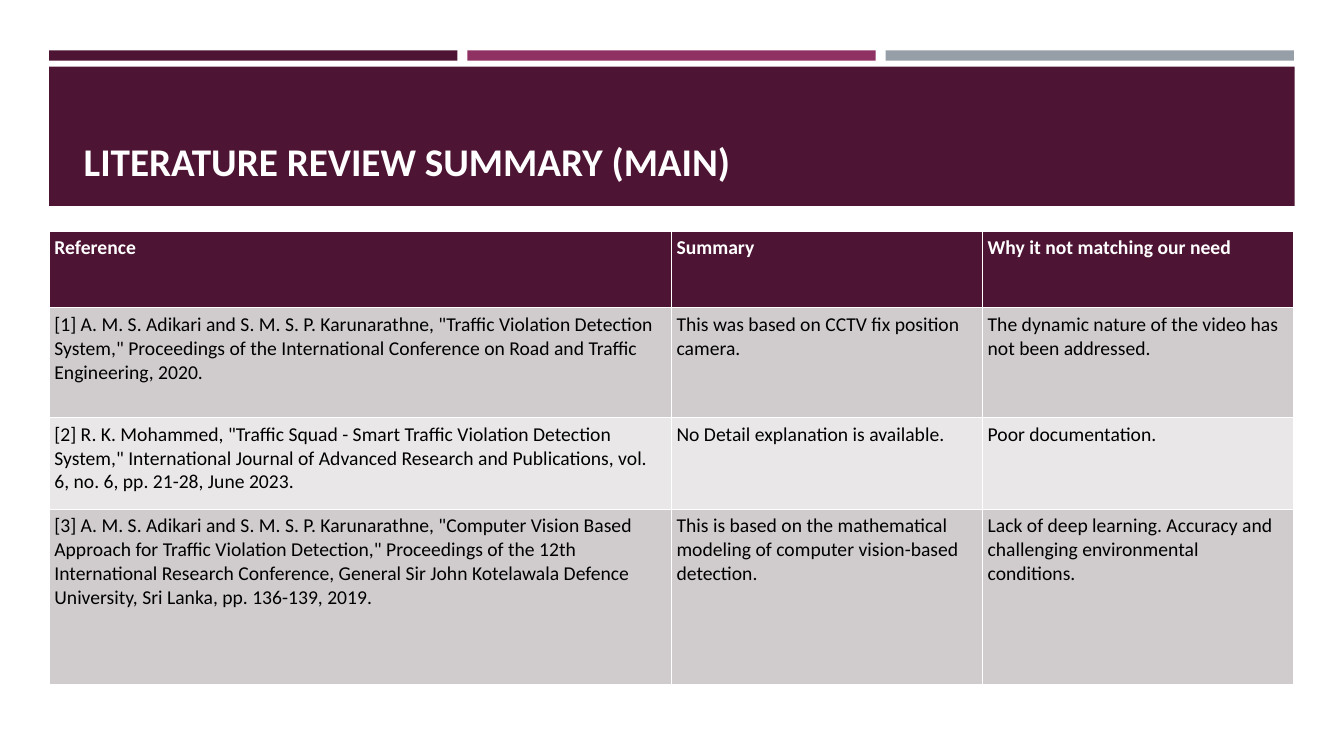
from pptx import Presentation
from pptx.dml.color import RGBColor
from pptx.enum import shapes, text
from pptx.util import Cm, Pt

FONT = "Calibri"
COLORS = {
    "plum": "4D1434",
    "berry": "903163",
    "slate": "969FA7",
    "dark": "D0CCCE",
    "light": "E9E7E8",
    "white": "FFFFFF",
    "black": "000000",
}
LEFT = 1.24
WIDTHS = [15.68, 7.84, 7.84]
HEIGHTS = [1.93, 2.77, 2.31, 4.42]
ROWS = [
    ["Reference", "Summary", "Why it not matching our need"],
    [
        '[1] A. M. S. Adikari and S. M. S. P. Karunarathne, "Traffic Violation '
        'Detection System," Proceedings of the International Conference on Road '
        "and Traffic Engineering, 2020.",
        "This was based on CCTV fix position camera.",
        "The dynamic nature of the video has not been addressed.",
    ],
    [
        '[2] R. K. Mohammed, "Traffic Squad - Smart Traffic Violation Detection '
        'System," International Journal of Advanced Research and Publications, '
        "vol. 6, no. 6, pp. 21-28, June 2023.",
        "No Detail explanation is available.",
        "Poor documentation.",
    ],
    [
        '[3] A. M. S. Adikari and S. M. S. P. Karunarathne, "Computer Vision '
        'Based Approach for Traffic Violation Detection," Proceedings of the '
        "12th International Research Conference, General Sir John Kotelawala "
        "Defence University, Sri Lanka, pp. 136-139, 2019.",
        "This is based on the mathematical modeling of computer vision-based "
        "detection.",
        "Lack of deep learning. Accuracy and challenging environmental "
        "conditions.",
    ],
]


def color(name):
    return RGBColor.from_string(COLORS[name])


def style(frame, size, name, bold):
    """Format every run of a text frame."""
    for para in frame.paragraphs:
        para.alignment = text.PP_ALIGN.LEFT
        for run in para.runs:
            font = run.font
            font.name, font.size, font.bold = FONT, Pt(size), bold
            font.color.rgb = color(name)


def add_bar(slide, left, top, width, height, name):
    bar = slide.shapes.add_shape(
        shapes.MSO_SHAPE.RECTANGLE, Cm(left), Cm(top), Cm(width), Cm(height)
    )
    bar.shadow.inherit = False
    bar.fill.solid()
    bar.fill.fore_color.rgb = color(name)
    bar.line.fill.background()


def set_title(slide, words):
    title = slide.shapes.title
    title.left, title.top = Cm(1.63), Cm(2.03)
    title.width, title.height = Cm(30.63), Cm(2.74)
    frame = title.text_frame
    frame.text = words
    frame.word_wrap = True
    frame.auto_size = text.MSO_AUTO_SIZE.NONE
    frame.vertical_anchor = text.MSO_ANCHOR.BOTTOM
    frame.margin_left = Cm(0.48)
    style(frame, 28, "white", True)
    # Bring the title in front of the band
    title.element.getparent().append(title.element)


def fill_cell(cell, words, row):
    head = row == 0
    cell.text_frame.text = words
    cell.margin_left = cell.margin_right = Cm(0.13)
    cell.margin_top = cell.margin_bottom = Cm(0.13)
    cell.fill.solid()
    back = "plum" if head else "dark" if row % 2 else "light"
    cell.fill.fore_color.rgb = color(back)
    style(cell.text_frame, 14, "white" if head else "black", head)


def add_grid(slide):
    table = slide.shapes.add_table(
        len(ROWS), len(WIDTHS), Cm(LEFT), Cm(5.82),
        Cm(sum(WIDTHS)), Cm(sum(HEIGHTS)),
    ).table
    for col, width in zip(table.columns, WIDTHS):
        col.width = Cm(width)
    for row, height in enumerate(HEIGHTS):
        table.rows[row].height = Cm(height)
        for col, words in enumerate(ROWS[row]):
            fill_cell(table.cell(row, col), words, row)


def main():
    prs = Presentation()
    prs.slide_width, prs.slide_height = Cm(33.87), Cm(19.05)
    slide = prs.slides.add_slide(prs.slide_layouts[5])
    for i, name in enumerate(["plum", "berry", "slate"]):
        add_bar(slide, LEFT + i * 10.54, 1.27, 10.29, 0.26, name)
    add_bar(slide, LEFT, 1.68, 31.39, 3.51, "plum")
    set_title(slide, "LITERATURE REVIEW SUMMARY (MAIN)")
    add_grid(slide)
    prs.save("out.pptx")


if __name__ == "__main__":
    main()
